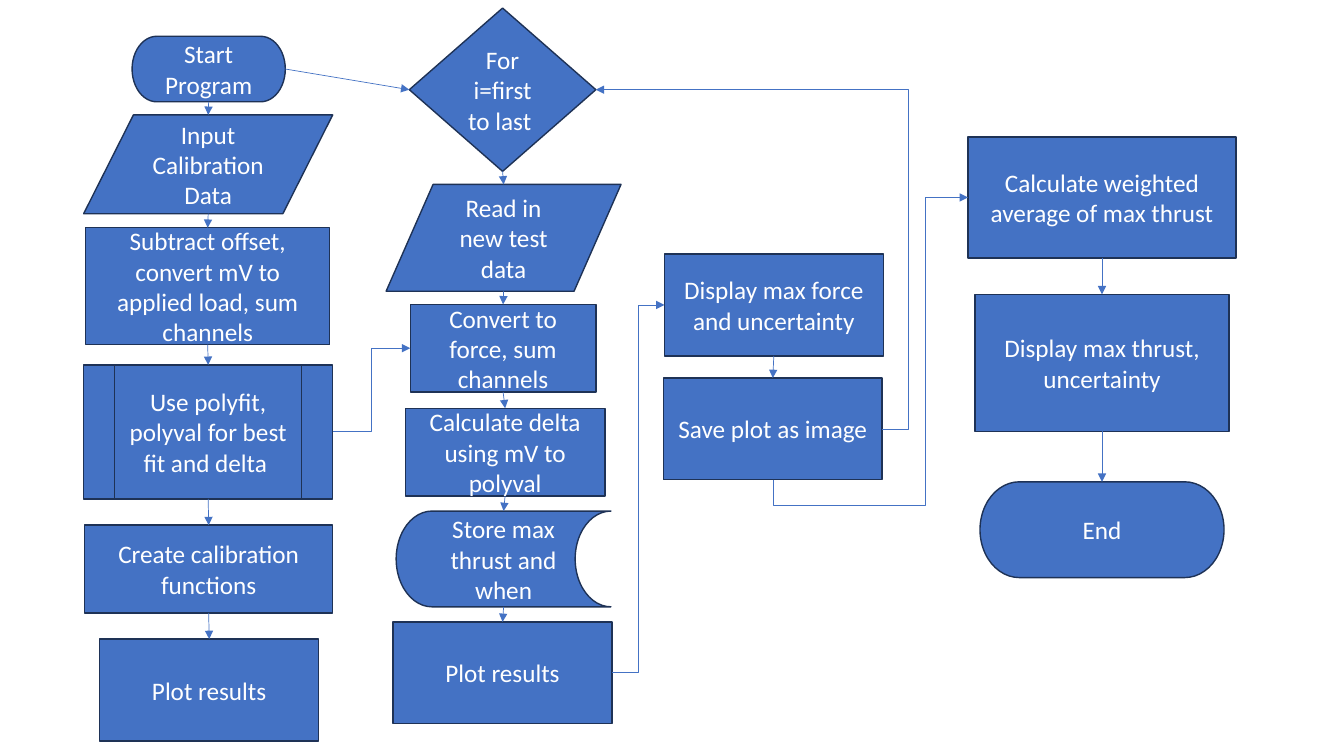
from lxml import etree
from pptx import Presentation
from pptx.dml.color import RGBColor
from pptx.enum.shapes import MSO_CONNECTOR, MSO_SHAPE
from pptx.enum.text import MSO_ANCHOR, PP_ALIGN
from pptx.oxml.ns import qn
from pptx.util import Inches, Pt

TERM = MSO_SHAPE.FLOWCHART_TERMINATOR
DATA = MSO_SHAPE.FLOWCHART_DATA
STEP = MSO_SHAPE.FLOWCHART_PROCESS
SUB = MSO_SHAPE.FLOWCHART_PREDEFINED_PROCESS
TEST = MSO_SHAPE.FLOWCHART_DECISION
STORE = MSO_SHAPE.FLOWCHART_STORED_DATA
STRAIGHT, ELBOW = MSO_CONNECTOR.STRAIGHT, MSO_CONNECTOR.ELBOW
TOP, LEFT, BOTTOM, RIGHT = range(4)
# A parallelogram numbers its six joints differently
DATA_JOINTS = {TOP: "1", LEFT: "2", BOTTOM: "4", RIGHT: "5"}

BLUE, NAVY, WHITE = "4472C4", "1E3256", "FFFFFF"
FONT, SIZE = "Calibri", 18

# Each column runs downwards: name, kind, (left, top, width, height), text
COLUMNS = [
    [("start", TERM, (1.31, 0.36, 1.52, 0.65), "Start Program"),
     ("input", DATA, (0.83, 1.14, 2.47, 0.98), "Input Calibration Data"),
     ("offset", STEP, (0.85, 2.26, 2.42, 1.16),
      "Subtract offset, convert mV to applied load, sum channels"),
     ("fit", SUB, (0.83, 3.62, 2.47, 1.33),
      "Use polyfit, polyval for best fit and delta "),
     ("create", STEP, (0.84, 5.21, 2.46, 0.87),
      "Create calibration functions"),
     ("plot", STEP, (0.99, 6.34, 2.17, 1.01), "Plot results")],
    [("loop", TEST, (4.06, 0.08, 1.85, 1.62), "For i=first to last "),
     ("read", DATA, (3.83, 1.83, 2.33, 1.06), "Read in new test data"),
     ("force", STEP, (4.07, 3.02, 1.84, 0.87),
      "Convert to force, sum channels"),
     ("delta", STEP, (4.02, 4.05, 1.98, 0.87),
      "Calculate delta using mV to polyval"),
     ("store", STORE, (3.93, 5.07, 2.13, 0.95), "Store max thrust and when"),
     ("chart", STEP, (3.9, 6.17, 2.17, 1.01), "Plot results")],
    [("show", STEP, (6.59, 2.52, 2.17, 1.01),
      "Display max force and uncertainty"),
     ("save", STEP, (6.58, 3.75, 2.17, 1.01), "Save plot as image")],
    [("mean", STEP, (9.6, 1.36, 2.66, 1.2),
      "Calculate weighted average of max thrust"),
     ("thrust", STEP, (9.67, 2.92, 2.52, 1.36),
      "Display max thrust, uncertainty"),
     ("end", TERM, (9.72, 4.78, 2.42, 0.95), "End")],
]

# Links across columns: from, side, to, side, kind, bend positions
CROSS = [
    ("start", RIGHT, "loop", LEFT, STRAIGHT, []),
    ("fit", RIGHT, "force", LEFT, ELBOW, [0.5]),
    ("chart", RIGHT, "show", LEFT, ELBOW, [0.5]),
    ("save", RIGHT, "loop", RIGHT, ELBOW, [-0.09]),
    ("save", BOTTOM, "mean", LEFT, ELBOW, [-0.09, 0.78]),
]


def color(text):
    return RGBColor.from_string(text)


def add_box(slide, kind, place, text):
    box = slide.shapes.add_shape(kind, *map(Inches, place))
    box.shadow.inherit = False
    box.fill.solid()
    box.fill.fore_color.rgb = color(BLUE)
    box.line.color.rgb = color(NAVY)
    box.line.width = Pt(1)
    frame = box.text_frame
    frame.word_wrap = True
    frame.vertical_anchor = MSO_ANCHOR.MIDDLE
    para = frame.paragraphs[0]
    para.alignment = PP_ALIGN.CENTER
    run = para.add_run()
    run.text = text
    run.font.name = FONT
    run.font.size = Pt(SIZE)
    run.font.color.rgb = color(WHITE)
    return box


def bend(link, bends):
    geom = link._element.spPr.find(qn("a:prstGeom"))
    guides = geom.get_or_add_avLst()
    for num, part in enumerate(bends, 1):
        etree.SubElement(guides, qn("a:gd"), name=f"adj{num}",
                         fmla=f"val {round(part * 100000)}")
    if len(bends) == 2:
        # A path that leaves downwards is a quarter turn of a sideways one
        geom.set("prst", "bentConnector4")
        wide, high = link.width, link.height
        link.left += (wide - high) // 2
        link.top += (high - wide) // 2
        link.width, link.height = high, wide
        frame = link._element.spPr.find(qn("a:xfrm"))
        for key, val in (("rot", "5400000"), ("flipH", "1"), ("flipV", "1")):
            frame.set(key, val)


def add_link(slide, first, side, last, goal, kind, bends):
    link = slide.shapes.add_connector(kind, 0, 0, 0, 0)
    link.begin_connect(first, side)
    link.end_connect(last, goal)
    for box, spot, tag in ((first, side, "a:stCxn"), (last, goal, "a:endCxn")):
        if box.auto_shape_type == DATA:
            joint = next(link._element.iter(qn(tag)))
            joint.set("idx", DATA_JOINTS[spot])
    bend(link, bends)
    link.line.color.rgb = color(BLUE)
    link.line.width = Pt(0.5)
    props = link._element.spPr
    etree.SubElement(props.find(qn("a:ln")), qn("a:tailEnd"), type="triangle")
    etree.SubElement(props, qn("a:effectLst"))


def main():
    deck = Presentation()
    deck.slide_width, deck.slide_height = Inches(13.33), Inches(7.5)
    slide = deck.slides.add_slide(deck.slide_layouts[6])

    # Boxes
    boxes = {name: add_box(slide, kind, place, text)
             for column in COLUMNS for name, kind, place, text in column}

    # Arrows down each column, then across
    down = [(a[0], BOTTOM, b[0], TOP, STRAIGHT, [])
            for column in COLUMNS for a, b in zip(column, column[1:])]
    for first, side, last, goal, kind, bends in down + CROSS:
        add_link(slide, boxes[first], side, boxes[last], goal, kind, bends)

    deck.save("out.pptx")


if __name__ == "__main__":
    main()
